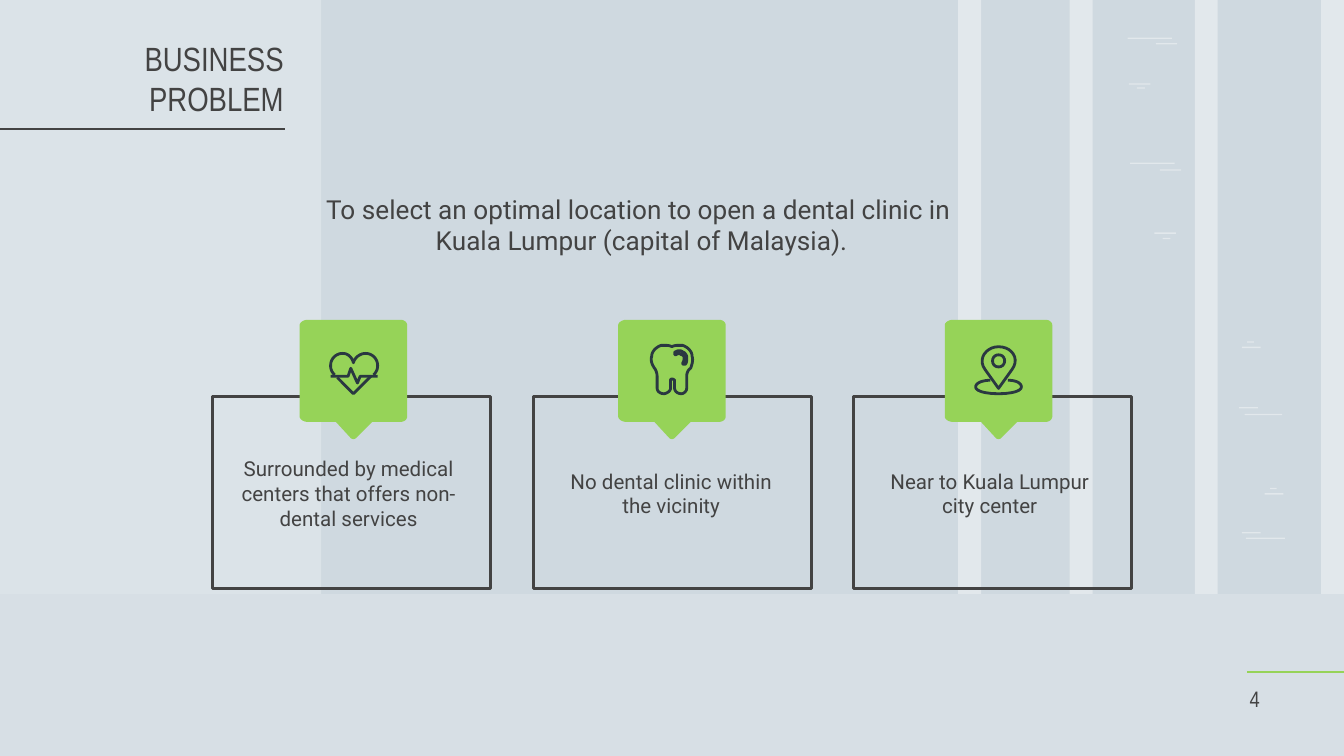
"""Build the business problem slide with three location benefits."""
import dataclasses
import typing

import lxml.etree
import pptx
import pptx.dml.color
import pptx.enum.shapes
import pptx.enum.text
import pptx.oxml.ns
import pptx.util

Inches = pptx.util.Inches
SHAPE = pptx.enum.shapes.MSO_SHAPE
ALIGN = pptx.enum.text.PP_ALIGN
ANCHOR = pptx.enum.text.MSO_ANCHOR
COLORS = {"back": "CFD9E0", "white": "FFFFFF", "ink": "434343", "green": "96D358", "icon": "2A3841"}
WIDTH, HEIGHT = 10, 10 * 9 / 16
FLOOR = 4.42
Box = tuple[float, float, float, float]


@dataclasses.dataclass
class Stroke:
    """Hold a start point and its steps: pairs are lines, sixes are curves."""
    start: tuple[float, float]
    steps: list[tuple[float, ...]]
    closed: bool = False


@dataclasses.dataclass
class Card:
    """Hold one card, with its frame, text and badge positions."""
    left: float
    note: float
    mid: float
    text: str
    icon: list[Stroke]


BADGE = Stroke((-0.34, 0), [
    (0.35, 0), (0.38, 0, 0.4, 0.02, 0.4, 0.04), (0.4, 0.72),
    (0.4, 0.74, 0.38, 0.76, 0.35, 0.76), (0.14, 0.76), (0.02, 0.88),
    (0.01, 0.89, -0.01, 0.89, -0.02, 0.88), (-0.13, 0.76), (-0.34, 0.76),
    (-0.37, 0.76, -0.4, 0.74, -0.4, 0.72), (-0.4, 0.04),
    (-0.4, 0.02, -0.37, 0, -0.34, 0)], True)
HEART = [
    Stroke((-0.14, 0.41), [
        (-0.16, 0.39, -0.17, 0.37, -0.17, 0.34), (-0.17, 0.29, -0.13, 0.25, -0.08, 0.25),
        (-0.04, 0.25, -0.01, 0.28, 0, 0.32), (0.01, 0.28, 0.05, 0.25, 0.09, 0.25),
        (0.14, 0.25, 0.18, 0.29, 0.18, 0.34), (0.18, 0.37, 0.17, 0.39, 0.15, 0.41)]),
    Stroke((-0.12, 0.43), [(0, 0.55), (0.13, 0.42)]),
    Stroke((-0.17, 0.42), [(-0.04, 0.42), (-0.02, 0.36), (0.03, 0.47), (0.05, 0.42), (0.18, 0.42)]),
]
TOOTH = [
    Stroke((-0.05, 0.19), [
        (-0.06, 0.19, -0.07, 0.19, -0.08, 0.19), (-0.11, 0.2, -0.15, 0.23, -0.15, 0.27),
        (-0.16, 0.3, -0.15, 0.33, -0.13, 0.36), (-0.12, 0.37, -0.11, 0.4, -0.11, 0.42),
        (-0.11, 0.51), (-0.11, 0.53, -0.09, 0.55, -0.06, 0.55),
        (-0.04, 0.55, -0.01, 0.53, -0.01, 0.51), (-0.01, 0.45),
        (-0.01, 0.45, -0.01, 0.44, 0, 0.44), (0.01, 0.44, 0.02, 0.45, 0.02, 0.45),
        (0.02, 0.51), (0.02, 0.53, 0.04, 0.55, 0.07, 0.55),
        (0.09, 0.55, 0.11, 0.53, 0.11, 0.51), (0.11, 0.42),
        (0.11, 0.4, 0.12, 0.37, 0.14, 0.36), (0.15, 0.33, 0.16, 0.3, 0.15, 0.27),
        (0.15, 0.23, 0.11, 0.2, 0.08, 0.19), (0.07, 0.19, 0.06, 0.19, 0.05, 0.19),
        (0.04, 0.19, 0.02, 0.19, 0, 0.2), (-0.02, 0.19, -0.04, 0.19, -0.05, 0.19)], True),
    Stroke((0.05, 0.23), [
        (0.06, 0.23, 0.07, 0.23, 0.08, 0.24), (0.09, 0.24, 0.11, 0.26, 0.11, 0.28),
        (0.11, 0.3, 0.11, 0.32, 0.1, 0.33), (0.08, 0.33), (0.08, 0.32),
        (0.09, 0.31, 0.09, 0.29, 0.09, 0.28), (0.09, 0.27, 0.08, 0.26, 0.07, 0.26),
        (0.06, 0.25, 0.04, 0.25, 0.03, 0.26), (0.02, 0.26), (0.02, 0.24),
        (0.03, 0.24, 0.04, 0.23, 0.05, 0.23)], True),
]
PIN = [
    Stroke((0, 0.51), [
        (-0.1, 0.37), (-0.16, 0.29, -0.09, 0.2, 0, 0.2),
        (0.1, 0.2, 0.16, 0.29, 0.1, 0.37)], True),
    Stroke((0, 0.26), [
        (0.06, 0.26, 0.06, 0.35, 0, 0.35), (-0.06, 0.35, -0.06, 0.26, 0, 0.26)], True),
    Stroke((-0.06, 0.45), [
        (-0.12, 0.45, -0.17, 0.47, -0.17, 0.5), (-0.17, 0.53, -0.1, 0.55, 0, 0.55),
        (0.1, 0.55, 0.17, 0.53, 0.17, 0.5), (0.17, 0.47, 0.13, 0.45, 0.07, 0.45)]),
]
CARDS = [
    Card(1.58, 1.66, 2.63, "Surrounded by medical centers that offers non-dental services", HEART),
    Card(3.97, 4.06, 5, "No dental clinic within the vicinity", TOOTH),
    Card(6.35, 6.43, 7.43, "Near to Kuala Lumpur city center", PIN),
]
BARS = [7.13, 7.96, 8.89, 9.83]
DASHES = [
    (8.39, 0.28, 0.33), (8.6, 0.32, 0.16), (8.41, 1.21, 0.33), (8.63, 1.26, 0.16),
    (8.4, 0.62, 0.16), (8.46, 0.65, 0.06), (8.59, 1.73, 0.16), (8.65, 1.77, 0.06),
    (9.27, 4, 0.29), (9.24, 3.96, 0.14), (9.26, 3.08, 0.28), (9.22, 3.03, 0.14),
    (9.41, 3.67, 0.14), (9.45, 3.63, 0.05), (9.24, 2.58, 0.14), (9.28, 2.54, 0.05),
]


def tint(name: str) -> pptx.dml.color.RGBColor:
    """Return a named colour."""
    return pptx.dml.color.RGBColor.from_string(COLORS[name])


def style(shape: typing.Any, fill: str = "", line: str = "", alpha: int = 100) -> None:
    """Set fill, outline and opacity, and drop the shadow."""
    shape.shadow.inherit = False
    if fill:
        shape.fill.solid()
        shape.fill.fore_color.rgb = tint(fill)
        if alpha < 100:
            color = next(shape._element.iter(pptx.oxml.ns.qn("a:srgbClr")))
            lxml.etree.SubElement(color, pptx.oxml.ns.qn("a:alpha"), val=str(alpha * 1000))
    else:
        shape.fill.background()
    if line:
        shape.line.color.rgb = tint(line)
        shape.line.width = pptx.util.Pt(1.5)
    else:
        shape.line.fill.background()


def block(slide: typing.Any, box: Box, **look: typing.Any) -> None:
    """Draw a rectangle."""
    style(slide.shapes.add_shape(SHAPE.RECTANGLE, *map(Inches, box)), **look)


def rule(slide: typing.Any, left: float, right: float, top: float, color: str) -> None:
    """Draw a level line."""
    kind = pptx.enum.shapes.MSO_CONNECTOR.STRAIGHT
    line = slide.shapes.add_connector(kind, *map(Inches, (left, top, right, top)))
    line.line.color.rgb = tint(color)
    line.line.width = pptx.util.Pt(1.5)
    lxml.etree.SubElement(line._element.spPr, pptx.oxml.ns.qn("a:effectLst"))


def trace(stroke: Stroke, count: int = 10) -> list[tuple[float, float]]:
    """Turn lines and cubic curves into points."""
    dots = [stroke.start]
    for step in stroke.steps:
        if len(step) == 2:
            dots.append(step)
            continue
        knots = [dots[-1], step[:2], step[2:4], step[4:]]
        for part in range(1, count + 1):
            t = part / count
            loads = ((1 - t) ** 3, 3 * t * (1 - t) ** 2, 3 * t * t * (1 - t), t ** 3)
            dots.append(tuple(sum(w * k[axis] for w, k in zip(loads, knots)) for axis in (0, 1)))
    return dots


def draw(slide: typing.Any, stroke: Stroke, mid: float, top: float, **look: typing.Any) -> None:
    """Draw a stroke placed by its middle and top."""
    dots = [(Inches(mid + x), Inches(top + y)) for x, y in trace(stroke)]
    form = slide.shapes.build_freeform(*dots[0])
    form.add_line_segments(dots[1:], close=stroke.closed)
    style(form.convert_to_shape(), **look)


def write(slide: typing.Any, box: Box, text: str, *, size: int, font: str = "Roboto",
          align: ALIGN = ALIGN.CENTER, anchor: ANCHOR = ANCHOR.MIDDLE) -> None:
    """Write text, one paragraph a line."""
    frame = slide.shapes.add_textbox(*map(Inches, box)).text_frame
    frame.word_wrap = True
    frame.vertical_anchor = anchor
    frame.margin_left = frame.margin_right = frame.margin_top = frame.margin_bottom = Inches(0.1)
    frame.text = text
    for para in frame.paragraphs:
        para.alignment = align
        face = para.runs[0].font
        face.name, face.size, face.color.rgb = font, pptx.util.Pt(size), tint("ink")


def main() -> None:
    """Build and save the slide."""
    deck = pptx.Presentation()
    deck.slide_width, deck.slide_height = Inches(WIDTH), Inches(HEIGHT)
    slide = deck.slides.add_slide(deck.slide_layouts[6])
    slide.background.fill.solid()
    slide.background.fill.fore_color.rgb = tint("back")
    for left in BARS:
        block(slide, (left, 0, 0.17, FLOOR), fill="white", alpha=40)
    for left, top, width in DASHES:
        block(slide, (left, top, width, 0.01), fill="white", alpha=40)
    block(slide, (0, 0, 2.39, FLOOR), fill="white", alpha=27)
    block(slide, (0, FLOOR, WIDTH, HEIGHT - FLOOR), fill="white", alpha=17)
    rule(slide, 9.28, WIDTH, 5, "green")
    rule(slide, -0.02, 2.12, 0.96, "ink")
    for card in CARDS:
        block(slide, (card.left, 2.95, 2.07, 1.43), line="ink")
        write(slide, (card.note, 3.06, 1.87, 1.22), card.text, size=11)
        draw(slide, BADGE, card.mid, 2.38, fill="green")
        for stroke in card.icon:
            draw(slide, stroke, card.mid, 2.38, line="icon")
    write(slide, (0.65, 0.66, 1.56, 0.32), "BUSINESS PROBLEM", size=18,
          font="Arial Narrow", align=ALIGN.RIGHT, anchor=ANCHOR.BOTTOM)
    write(slide, (2.24, 1.3, 5.02, 0.74),
          "To select an optimal location to open a dental clinic in\n"
          " Kuala Lumpur (capital of Malaysia).", size=14)
    write(slide, (9.2, 4.97, 0.35, 0.43), "4", size=12,
          font="Arial Narrow", align=ALIGN.LEFT, anchor=ANCHOR.BOTTOM)
    deck.save("out.pptx")


if __name__ == "__main__":
    main()
